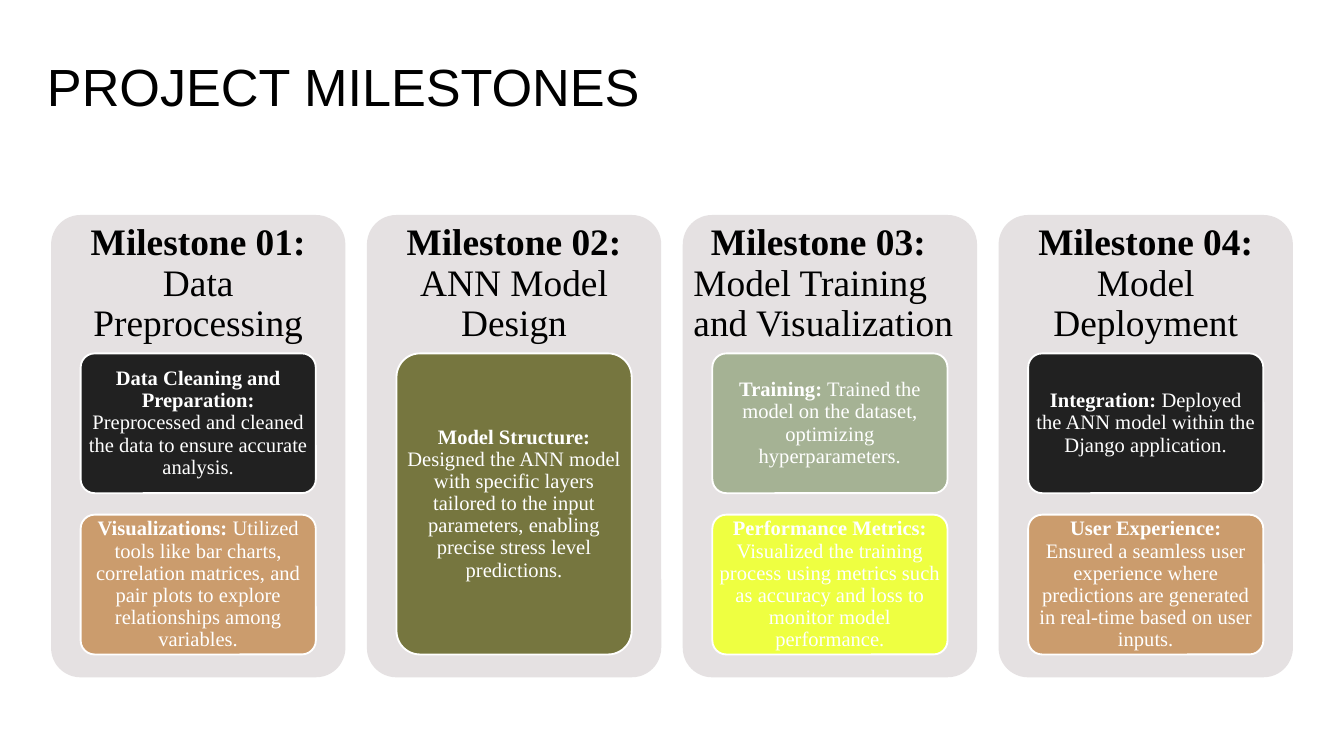
from pptx import Presentation
from pptx.dml.color import RGBColor
from pptx.enum import shapes, text
from pptx.util import Inches, Pt


class Theme:
    heading_font, body_font = "Arial", "Times New Roman"
    title_size, header_size, card_size = Pt(28), Pt(20), Pt(11)
    black, white = RGBColor.from_string("000000"), RGBColor.from_string("FFFFFF")
    panel = RGBColor.from_string("E5E1E2")
    charcoal = RGBColor.from_string("212121")
    tan = RGBColor.from_string("CB9C6D")
    olive = RGBColor.from_string("76763F")
    sage = RGBColor.from_string("A5B294")
    yellow = RGBColor.from_string("EEFF41")


CENTER, LEFT = text.PP_ALIGN.CENTER, text.PP_ALIGN.LEFT

# Each milestone: label, name, alignment, first-line indent, cards.
# Each card: fill, label, description.
milestones = [
    ("Milestone 01:", "Data Preprocessing", CENTER, 0, [
        (Theme.charcoal, "Data Cleaning and Preparation:",
         "Preprocessed and cleaned the data to ensure accurate analysis."),
        (Theme.tan, "Visualizations:",
         "Utilized tools like bar charts, correlation matrices, and pair plots "
         "to explore relationships among variables."),
    ]),
    ("Milestone 02:", "ANN Model Design", CENTER, 0, [
        (Theme.olive, "Model Structure:",
         "Designed the ANN model with specific layers tailored to the input "
         "parameters, enabling precise stress level predictions."),
    ]),
    ("Milestone 03:", "Model Training and Visualization", LEFT, 0.13, [
        (Theme.sage, "Training:",
         "Trained the model on the dataset, optimizing hyperparameters."),
        (Theme.yellow, "Performance Metrics:",
         "Visualized the training process using metrics such as accuracy and "
         "loss to monitor model performance."),
    ]),
    ("Milestone 04:", "Model Deployment", CENTER, 0, [
        (Theme.charcoal, "Integration:",
         "Deployed the ANN model within the Django application."),
        (Theme.tan, "User Experience:",
         "Ensured a seamless user experience where predictions are generated "
         "in real-time based on user inputs."),
    ]),
]


def write(shape, runs, font, size, color, align, inset_x, inset_y):
    """Fill a shape with one vertically centred paragraph of (words, bold) runs."""
    frame = shape.text_frame
    frame_format = {
        "word_wrap": True, "vertical_anchor": text.MSO_ANCHOR.MIDDLE,
        "margin_left": Inches(inset_x), "margin_right": Inches(inset_x),
        "margin_top": Inches(inset_y), "margin_bottom": Inches(inset_y),
    }
    for name, value in frame_format.items():
        setattr(frame, name, value)
    paragraph = frame.paragraphs[0]
    paragraph.alignment = align
    for words, bold in runs:
        run = paragraph.add_run()
        run.text = words
        for name, value in {"name": font, "size": size, "bold": bold}.items():
            setattr(run.font, name, value)
        run.font.color.rgb = color
    return paragraph


def add_rounded(left, top, width, height, fill):
    box = slide.shapes.add_shape(
        shapes.MSO_SHAPE.ROUNDED_RECTANGLE,
        Inches(left), Inches(top), Inches(width), Inches(height))
    box.adjustments[0] = 0.1
    box.shadow.inherit = False
    box.fill.solid()
    box.fill.fore_color.rgb = fill
    box.line.fill.background()
    return box


deck = Presentation()
deck.slide_width = Inches(10)
deck.slide_height = deck.slide_width * 9 // 16
slide = deck.slides.add_slide(deck.slide_layouts[6])

title = slide.shapes.add_textbox(Inches(0.28), Inches(0.23), Inches(6.7), Inches(0.82))
write(title, [("PROJECT MILESTONES", False)], Theme.heading_font,
      Theme.title_size, Theme.black, LEFT, 0.07, 0.04)

panel_left, panel_top, panel_width, panel_height = 0.38, 1.6, 2.19, 3.44
panel_pitch, header_height = 2.35, 1.03
card_width, card_gap, cards_height = 1.75, 0.16, 2.24
cards_top = panel_top + header_height

for column, (label, name, align, indent, cards) in enumerate(milestones):
    left = panel_left + column * panel_pitch
    add_rounded(left, panel_top, panel_width, panel_height, Theme.panel)

    header = slide.shapes.add_textbox(
        Inches(left), Inches(panel_top), Inches(panel_width), Inches(header_height))
    heading = write(header, [(label, True), (" " + name, False)], Theme.body_font,
                    Theme.header_size, Theme.black, align, 0.08, 0.08)
    heading.line_spacing = 0.9
    if indent:
        heading._p.get_or_add_pPr().set("indent", str(Inches(indent)))

    card_height = (cards_height - card_gap * (len(cards) - 1)) / len(cards)
    card_left = left + (panel_width - card_width) / 2
    for row, (fill, card_label, description) in enumerate(cards):
        card_top = cards_top + row * (card_height + card_gap)
        card = add_rounded(card_left, card_top, card_width, card_height, fill)
        card.line.color.rgb = Theme.white
        card.line.width = Pt(1)
        body = write(card, [(card_label, True), (" " + description, False)],
                     Theme.body_font, Theme.card_size, Theme.white, CENTER, 0.02, 0.02)
        body.line_spacing = 0.9

deck.save("out.pptx")
